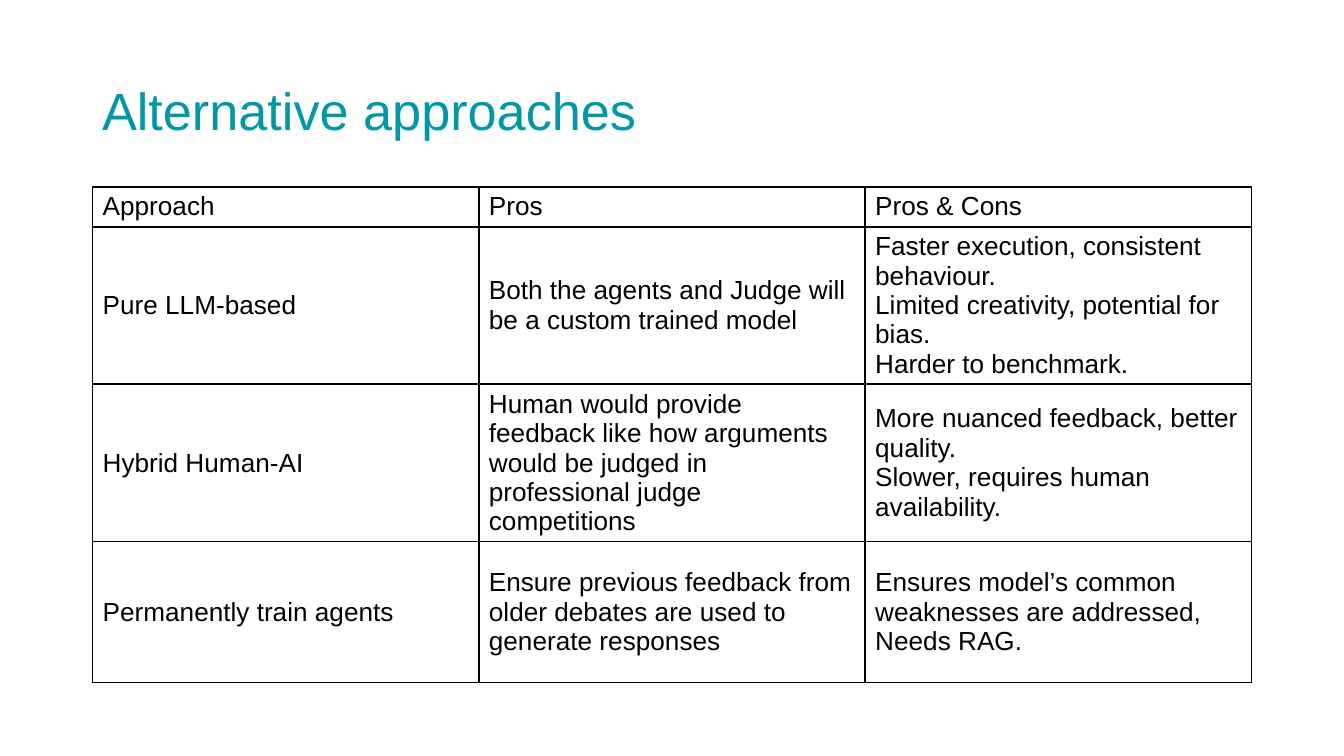
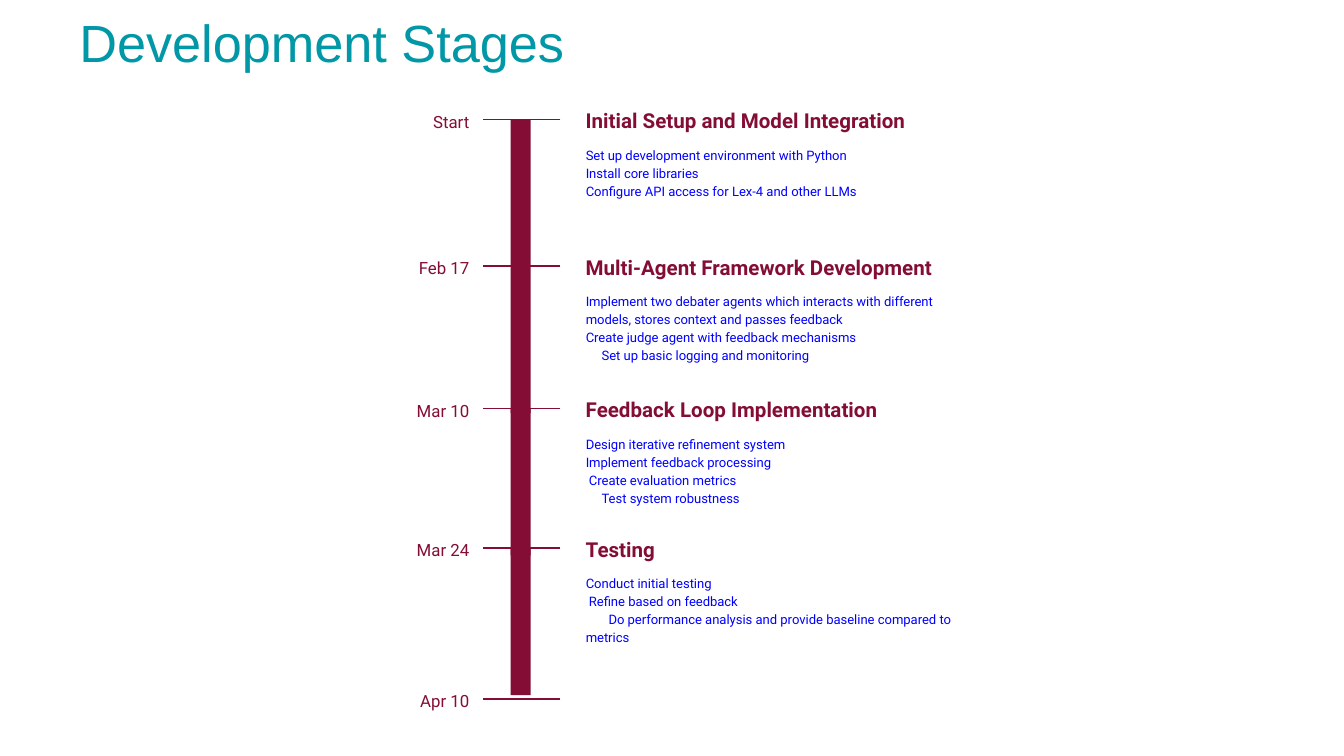
import dataclasses

import pptx
import pptx.dml.color
import pptx.enum.shapes
import pptx.enum.text
import pptx.util
from lxml import etree

Cm, Pt = pptx.util.Cm, pptx.util.Pt
Align, Anchor = pptx.enum.text.PP_ALIGN, pptx.enum.text.MSO_ANCHOR
NS = "http://schemas.openxmlformats.org/drawingml/2006/main"


@dataclasses.dataclass(frozen=True)
class Theme:
    teal: str = "0097A7"
    wine: str = "840D35"
    blue: str = "0000FF"
    black: str = "000000"
    white: str = "FFFFFF"
    sans: str = "Arial"
    robot: str = "Roboto"
    title: int = 28
    table: int = 14
    head: int = 11
    date: int = 9
    note: int = 7


LOOK = Theme()

ROWS = [
    ["Approach", "Pros", "Pros & Cons"],
    ["Pure LLM-based",
     "Both the agents and Judge will be a custom trained model",
     "Faster execution, consistent behaviour.\n"
     "Limited creativity, potential for bias.\nHarder to benchmark."],
    ["Hybrid Human-AI",
     "Human would provide feedback like how arguments would be judged in "
     "professional judge competitions",
     "More nuanced feedback, better quality.\n"
     "Slower, requires human availability."],
    ["Permanently train agents",
     "Ensure previous feedback from older debates are used to generate responses",
     "Ensures model’s common weaknesses are addressed,\nNeeds RAG."],
]

# Top of tick, date, heading, details, first-line indent of each detail
STAGES = [
    (2.26, "Start", "Initial Setup and Model Integration",
     "Set up development environment with Python\nInstall core libraries\n"
     "Configure API access for Lex-4 and other LLMs", (0, 0, 0)),
    (5.03, "Feb 17", "Multi-Agent Framework Development",
     "Implement two debater agents which interacts with different models, "
     "stores context and passes feedback\n"
     "Create judge agent with feedback mechanisms\n"
     "Set up basic logging and monitoring", (0, 0, 0.3)),
    (7.72, "Mar 10", "Feedback Loop Implementation",
     "Design iterative refinement system\nImplement feedback processing\n"
     "Create evaluation metrics\nTest system robustness", (0, 0, 0.06, 0.3)),
    (10.36, "Mar 24", "Testing",
     "Conduct initial testing\nRefine based on feedback\n"
     "Do performance analysis and provide baseline compared to metrics",
     (0, 0.06, 0.43)),
]
FINISH = (13.21, "Apr 10")


def paint(color):
    return pptx.dml.color.RGBColor.from_string(color)


def node(parent, tag, **attrs):
    return etree.SubElement(parent, f"{{{NS}}}{tag}", **attrs)


def write(frame, text, size, color, font=LOOK.robot, bold=False,
          align=Align.LEFT, space=1.15, indents=()):
    """Fill a text frame, one paragraph for each line of text."""
    for i, line in enumerate(text.split("\n")):
        para = frame.paragraphs[0] if i == 0 else frame.add_paragraph()
        para.alignment, para.line_spacing = align, space
        para.space_before = para.space_after = Pt(0)
        if indents:
            props = para._p.get_or_add_pPr()
            props.set("marL", "0")
            props.set("indent", str(Cm(indents[i])))
            node(props, "buNone")
        run = para.add_run()
        run.text = line
        run.font.size, run.font.name, run.font.bold = Pt(size), font, bold
        run.font.color.rgb = paint(color)


def place(shape, box, pad, anchor):
    """Set the box, insets and anchor of a shape that holds text."""
    shape.left, shape.top, shape.width, shape.height = map(Cm, box)
    frame = shape.text_frame
    frame.word_wrap = True
    frame.auto_size = pptx.enum.text.MSO_AUTO_SIZE.NONE
    frame.vertical_anchor = anchor
    frame.margin_left = frame.margin_right = Cm(pad[0])
    frame.margin_top = frame.margin_bottom = Cm(pad[1])
    return frame


def label(slide, box, text, **style):
    shape = slide.shapes.add_textbox(*map(Cm, box))
    write(place(shape, box, (0.25, 0.25), Anchor.TOP), text, **style)


def title(slide, box, text):
    frame = place(slide.shapes.title, box, (0.18, 0.1), Anchor.MIDDLE)
    write(frame, text, LOOK.title, LOOK.teal, font=LOOK.sans, space=0.9)


def border(cell):
    props = cell._tc.get_or_add_tcPr()
    for i, side in enumerate(("lnL", "lnR", "lnT", "lnB")):
        line = etree.Element(f"{{{NS}}}{side}", w=str(Pt(1)))
        node(node(line, "solidFill"), "srgbClr", val=LOOK.black)
        props.insert(i, line)


def grid(slide, box, heights):
    """Table of approaches with equal columns."""
    shape = slide.shapes.add_table(len(ROWS), len(ROWS[0]), *map(Cm, box))
    table = shape.table
    table.first_row = table.horz_banding = False
    for col in table.columns:
        col.width = Cm(box[2] / len(ROWS[0]))
    for row, height, texts in zip(table.rows, heights, ROWS):
        row.height = Cm(height)
        for cell, text in zip(row.cells, texts):
            cell.fill.solid()
            cell.fill.fore_color.rgb = paint(LOOK.white)
            cell.vertical_anchor = Anchor.MIDDLE
            cell.margin_left = cell.margin_right = Cm(0.19)
            cell.margin_top = cell.margin_bottom = Cm(0.1)
            write(cell.text_frame, text, LOOK.table, LOOK.black,
                  font=LOOK.sans, space=1.0)
            border(cell)


def tick(slide, left, top, date):
    """Date with its line across the time bar."""
    line = slide.shapes.add_connector(
        pptx.enum.shapes.MSO_CONNECTOR.STRAIGHT,
        Cm(left + 3.58), Cm(top), Cm(left + 2.11), Cm(top))
    line.line.color.rgb = paint(LOOK.wine)
    line.line.width = Pt(0.75)
    node(line._element.spPr, "effectLst")
    label(slide, (left, top - 0.46, 2.11, 0.97), date, size=LOOK.date,
          color=LOOK.wine, align=Align.RIGHT)


def stage(slide, left, top, body, date, head, notes, indents):
    """One stage: bar, tick, heading and list of details."""
    bar = slide.shapes.add_shape(
        pptx.enum.shapes.MSO_SHAPE.RECTANGLE,
        Cm(left + 2.64), Cm(top + 0.01), Cm(0.38), Cm(2.77))
    bar.shadow.inherit = False
    bar.fill.solid()
    bar.fill.fore_color.rgb = paint(LOOK.wine)
    bar.line.fill.background()
    tick(slide, left, top, date)
    label(slide, (left + 3.81, top - 0.53, 7.57, 0.76), head,
          size=LOOK.head, color=LOOK.wine, bold=True)
    frame = place(body, (left + 3.81, top + 0.23, 7.57, 1.95),
                  (0.25, 0.25), Anchor.TOP)
    write(frame, notes, LOOK.note, LOOK.blue, indents=indents)


def options(deck):
    slide = deck.slides.add_slide(deck.slide_layouts.get_by_name("Title Only"))
    title(slide, (1.75, 0.76, 21.9, 2.77), "Alternative approaches")
    grid(slide, (1.75, 3.53, 21.9, 9.34), (0.74, 2.97, 2.97, 2.66))


def timeline(deck):
    slide = deck.slides.add_slide(deck.slide_layouts.get_by_name("Comparison"))
    title(slide, (1.32, 0, 21.9, 1.73), "Development Stages")
    left = 7.01
    bodies = [p for p in slide.placeholders if p.placeholder_format.idx > 0]
    for body, (top, *parts) in zip(bodies, STAGES):
        stage(slide, left, top, body, *parts)
    tick(slide, left, *FINISH)


def main():
    deck = pptx.Presentation()
    deck.slide_width, deck.slide_height = Cm(25.4), Cm(14.29)
    options(deck)
    timeline(deck)
    deck.save("out.pptx")


if __name__ == "__main__":
    main()
